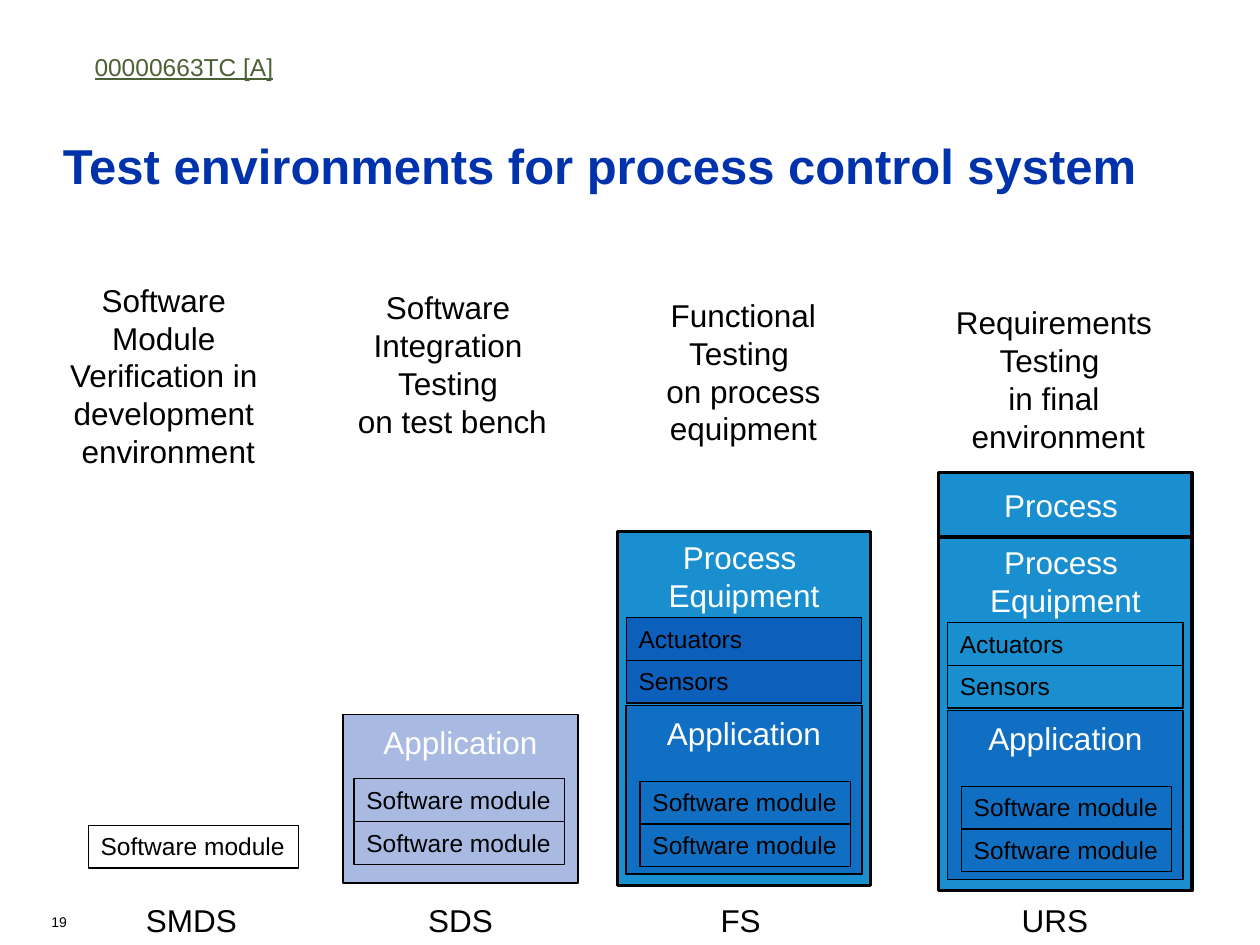
"""Build a slide that compares four test environments for a process control system."""
from dataclasses import dataclass

from lxml import etree
from pptx import Presentation
from pptx.dml.color import RGBColor
from pptx.enum.shapes import MSO_SHAPE
from pptx.enum.text import MSO_ANCHOR, MSO_AUTO_SIZE, PP_ALIGN
from pptx.oxml.ns import qn
from pptx.util import Inches, Pt

RECTANGLE = MSO_SHAPE.RECTANGLE
TOP, MIDDLE = MSO_ANCHOR.TOP, MSO_ANCHOR.MIDDLE
FIT_SHAPE = MSO_AUTO_SIZE.SHAPE_TO_FIT_TEXT
LEFT, CENTER = PP_ALIGN.LEFT, PP_ALIGN.CENTER

COLUMNS, ROWS = 100, 75
UNIT = Inches(0.1)
BAND = 3.4
LINE = 3


@dataclass(frozen=True)
class Theme:
    """Colours, font and type sizes of the slide."""
    font: str = "Arial"
    navy: str = "0033AB"
    blue: str = "198FCF"
    green: str = "4D6234"
    black: str = "000000"
    white: str = "FFFFFF"
    title: int = 28
    body: int = 18
    small: int = 14
    number: int = 8


THEME = Theme()

STAGES = [
    ("Software \nModule \nVerification in \ndevelopment \nenvironment", 4.5, 17.7, "SMDS", 10.6, 9.3),
    ("Software \nIntegration \nTesting \non test bench", 27.3, 17.2, "SDS", 33, 7.2),
    ("Functional\nTesting \non process\nequipment", 51.8, 14.4, "FS", 56.2, 5.2),
    ("Requirements\nTesting \nin final\n environment", 74.8, 17.7, "URS", 80.1, 7.4),
]


def place(*cells):
    """Turn grid cells into slide lengths."""
    return [round(cell * UNIT) for cell in cells]


def write(shape, text, size, color, align=LEFT, bold=False, underline=False):
    """Put formatted text into a shape."""
    shape.text_frame.text = text
    for paragraph in shape.text_frame.paragraphs:
        paragraph.alignment = align
        for run in paragraph.runs:
            run.font.name = THEME.font
            run.font.size = Pt(size)
            run.font.bold = bold
            run.font.underline = underline
            run.font.color.rgb = RGBColor.from_string(color)


def add_text(slide, text, cells, size, color=THEME.black, wrap=True, inset=True, **style):
    """Add a text box, either wrapped or sized to its text."""
    shape = slide.shapes.add_textbox(*place(*cells))
    frame = shape.text_frame
    frame.word_wrap = wrap
    if not wrap:
        frame.auto_size = FIT_SHAPE
    if not inset:
        frame.margin_left = frame.margin_top = frame.margin_right = frame.margin_bottom = 0
    write(shape, text, size, color, **style)
    return shape


def add_box(slide, cells, line, fill=None, opacity=100):
    """Add an outlined rectangle with an optional translucent fill."""
    shape = slide.shapes.add_shape(RECTANGLE, *place(*cells))
    shape.shadow.inherit = False
    shape.line.color.rgb = RGBColor.from_string(THEME.black)
    shape.line.width = Pt(line)
    if fill is None:
        shape.fill.background()
        return shape
    shape.fill.solid()
    shape.fill.fore_color.rgb = RGBColor.from_string(fill)
    if opacity < 100:
        color = shape.fill._xPr.find(qn("a:solidFill"))[0]
        etree.SubElement(color, qn("a:alpha")).set("val", str(opacity * 1000))
    return shape


def add_container(slide, text, cells, line, fill, inset=0.7, anchor=TOP, opacity=100):
    """Add a box with a centred white heading."""
    shape = add_box(slide, cells, line, fill, opacity)
    shape.text_frame.vertical_anchor = anchor
    shape.text_frame.margin_top = round(inset * UNIT)
    write(shape, text, THEME.body, THEME.white, CENTER)


def add_band(slide, text, left, top, width=16.7, wrap=False, fill=None, opacity=100):
    """Add a thin box with a small black label."""
    shape = add_box(slide, (left, top, width, BAND), 0.75, fill, opacity)
    shape.text_frame.word_wrap = wrap
    shape.text_frame.vertical_anchor = TOP
    write(shape, text, THEME.small, THEME.black)


def add_application(slide, left, top, module_left, module_top):
    """Add an application that holds two software modules."""
    add_container(slide, "Application", (left, top, 18.7, 13.4), 1, THEME.navy, opacity=34)
    for index in range(2):
        add_band(slide, "Software module", module_left, module_top + index * BAND)


def add_equipment(slide, left, top, device_fill=None):
    """Add process equipment with its devices and application."""
    add_container(slide, "Process \nEquipment", (left, top, 20.1, 28.1), 2, THEME.blue, inset=0.5)
    add_application(slide, left + 0.7, top + 13.8, left + 1.8, top + 19.8)
    for index, device in enumerate(("Actuators", "Sensors")):
        add_band(slide, device, left + 0.7, top + 6.8 + index * BAND, 18.7, True, device_fill, 50)


def add_stage_labels(slide):
    """Add the description above and the document name below each stage."""
    for index, (caption, left, width, name, name_left, name_width) in enumerate(STAGES):
        height = LINE * len(caption.split("\n")) + 1
        cells = (left, 21.8 + 0.6 * index, width, height)
        add_text(slide, caption, cells, THEME.body, wrap=False, align=CENTER)
        add_text(slide, name, (name_left, 71, name_width, 4), THEME.body, wrap=False)


def add_heading(slide):
    """Add the document code, the title and the page number."""
    code = add_text(slide, "00000663TC [A]", (4, 4.1, 21.2, 3.4), THEME.small, THEME.green,
                    inset=False, align=CENTER, underline=True)
    code.text_frame.paragraphs[0].space_after = Pt(0.2 * THEME.small)
    title = add_text(slide, "Test environments for process control system",
                     (5, 11.3, 88.3, 8.5), THEME.title, THEME.navy, inset=False, bold=True)
    title.text_frame.paragraphs[0].line_spacing = 0.9
    add_text(slide, "19", (3.1, 72, 9.3, 2.4), THEME.number)


def main():
    """Build and save the presentation."""
    presentation = Presentation()
    presentation.slide_width, presentation.slide_height = place(COLUMNS, ROWS)
    slide = presentation.slides.add_slide(presentation.slide_layouts[6])
    add_heading(slide)
    add_band(slide, "Software module", 7, 65.5)
    add_application(slide, 27.2, 56.7, 28.1, 61.8)
    add_equipment(slide, 49, 42.2, THEME.navy)
    add_equipment(slide, 74.5, 42.6)
    add_container(slide, "Process ", (74.5, 37.5, 20.1, 5.1), 2, THEME.blue, 0.5, MIDDLE)
    add_stage_labels(slide)
    presentation.save("out.pptx")


if __name__ == "__main__":
    main()
